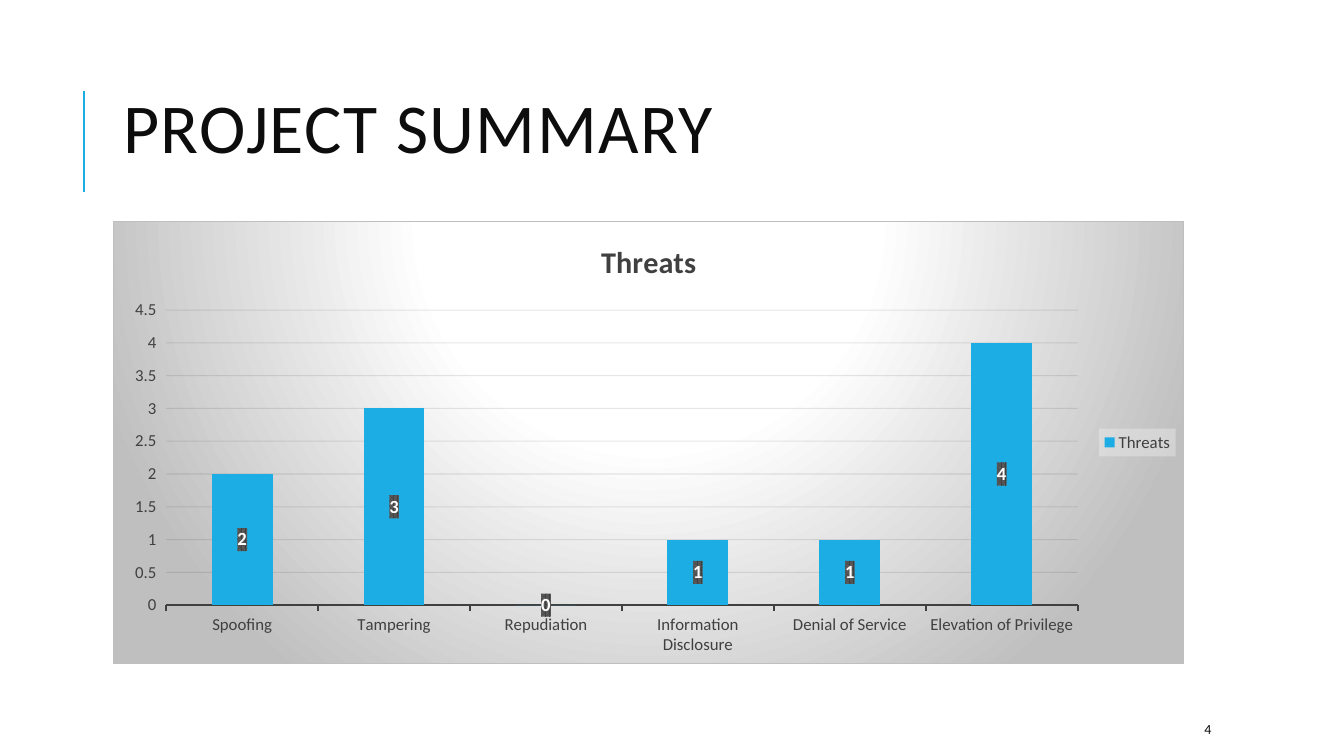
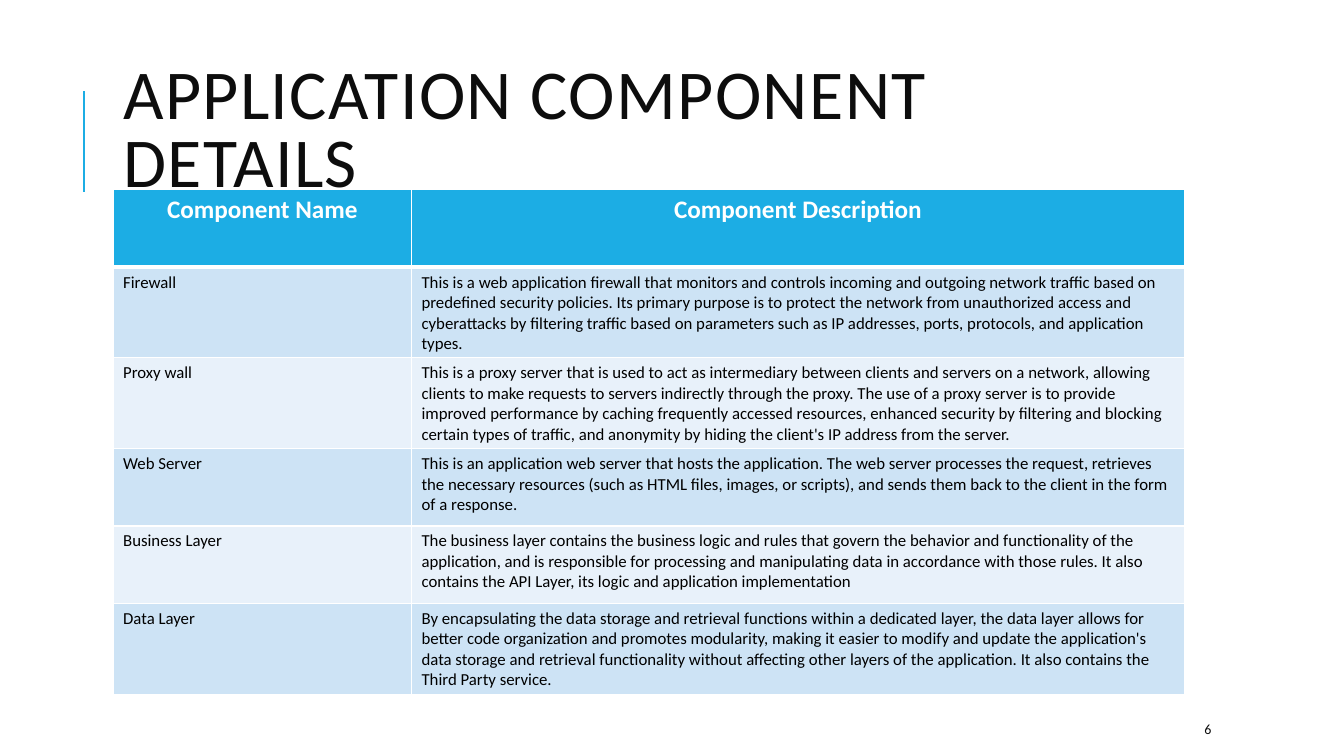
from lxml.etree import SubElement
from pptx import Presentation
from pptx.chart.data import CategoryChartData
from pptx.dml.color import RGBColor
from pptx.enum.chart import XL_CHART_TYPE as ChartType
from pptx.enum.chart import XL_LABEL_POSITION as LabelPos
from pptx.enum.chart import XL_LEGEND_POSITION as LegendPos
from pptx.enum.chart import XL_TICK_MARK as TickMark
from pptx.enum.shapes import MSO_CONNECTOR as Connector
from pptx.enum.text import MSO_ANCHOR as Anchor
from pptx.enum.text import MSO_AUTO_SIZE as AutoSize
from pptx.enum.text import PP_ALIGN as Align
from pptx.oxml import parse_xml
from pptx.oxml.ns import nsdecls, qn
from pptx.util import Cm, Pt

FONT = "Calibri"
ACCENT, INK, GRAY, EDGE = "1CADE4", "0D0D0D", "404040", "BFBFBF"
WHITE, BLACK = "FFFFFF", "000000"
BANDS = ("CDE3F5", "E8F1FA")
LEFT, WIDTH = Cm(2.85), Cm(27)

THREATS = {
    "Spoofing": 2,
    "Tampering": 3,
    "Repudiation": 0,
    "Information Disclosure": 1,
    "Denial of Service": 1,
    "Elevation of Privilege": 4,
}

COMPONENTS = [
    ("Component Name", "Component Description"),
    ("Firewall",
     "This is a web application firewall that monitors and controls incoming and outgoing "
     "network traffic based on predefined security policies. Its primary purpose is to protect "
     "the network from unauthorized access and cyberattacks by filtering traffic based on "
     "parameters such as IP addresses, ports, protocols, and application types."),
    ("Proxy wall",
     "This is a proxy server that is used to act as intermediary between clients and servers on "
     "a network, allowing clients to make requests to servers indirectly through the proxy. The "
     "use of a proxy server is to provide improved performance by caching frequently accessed "
     "resources, enhanced security by filtering and blocking certain types of traffic, and "
     "anonymity by hiding the client's IP address from the server."),
    ("Web Server",
     "This is an application web server that hosts the application. The web server processes "
     "the request, retrieves the necessary resources (such as HTML files, images, or scripts), "
     "and sends them back to the client in the form of a response."),
    ("Business Layer",
     "The business layer contains the business logic and rules that govern the behavior and "
     "functionality of the application, and is responsible for processing and manipulating data "
     "in accordance with those rules. It also contains the API Layer, its logic and application "
     "implementation"),
    ("Data Layer",
     "By encapsulating the data storage and retrieval functions within a dedicated layer, the "
     "data layer allows for better code organization and promotes modularity, making it easier "
     "to modify and update the application's data storage and retrieval functionality without "
     "affecting other layers of the application. It also contains the Third Party service."),
]


def rgb(color):
    return RGBColor.from_string(color)


def style_font(font, size, color, bold=False):
    font.name, font.size, font.bold = FONT, Pt(size), bold
    font.color.rgb = rgb(color)


def style_line(line, color, width):
    line.color.rgb = rgb(color)
    line.width = Pt(width)


def solid(color, alpha=100):
    return (f'<a:solidFill><a:srgbClr val="{color}"><a:alpha val="{alpha * 1000}"/>'
            "</a:srgbClr></a:solidFill>")


def fill_chart_part(element, fill_xml):
    """Give a chart part with text a background; the schema wants it before the text style."""
    element.find(qn("c:txPr")).addprevious(
        parse_xml(f'<c:spPr {nsdecls("c", "a")}>{fill_xml}</c:spPr>'))


def add_accent_line(s):
    line = s.shapes.add_connector(Connector.STRAIGHT, Cm(2.11), Cm(4.83), Cm(2.11), Cm(2.29))
    style_line(line.line, ACCENT, 1.5)
    SubElement(line._element.spPr, qn("a:effectLst"))


def set_title(s, text):
    title = s.shapes.title
    title.left, title.top, title.width, title.height = LEFT, Cm(1.57), WIDTH, Cm(3.58)
    tf = title.text_frame
    tf.text = text
    tf.auto_size, tf.vertical_anchor, tf.word_wrap = AutoSize.NONE, Anchor.MIDDLE, True
    p = tf.paragraphs[0]
    p.alignment, p.line_spacing = Align.LEFT, 0.8
    r = p.runs[0]
    style_font(r.font, 50, INK)
    r.font._element.set("spc", "100")


def add_page_number(s, number):
    tf = s.shapes.add_textbox(Cm(30.1), Cm(17.98), Cm(2.69), Cm(0.76)).text_frame
    tf.text = str(number)
    tf.word_wrap, tf.vertical_anchor = True, Anchor.MIDDLE
    style_font(tf.paragraphs[0].runs[0].font, 10, INK)


def add_slide(prs, title, number):
    s = prs.slides.add_slide(prs.slide_layouts[5])
    add_accent_line(s)
    set_title(s, title)
    add_page_number(s, number)
    return s


def style_axes(chart):
    cat_axis, val_axis = chart.category_axis, chart.value_axis
    for axis in (cat_axis, val_axis):
        style_font(axis.tick_labels.font, 12, GRAY)
        axis.major_tick_mark = TickMark.OUTSIDE
    style_line(cat_axis.format.line, GRAY, 1.5)
    val_axis.format.line.fill.background()
    val_axis.minimum_scale, val_axis.maximum_scale, val_axis.major_unit = 0, 4.5, 0.5
    grid = val_axis.major_gridlines
    style_line(grid.format.line, INK, 0.75)
    grid_color = next(val_axis._element.find(qn("c:majorGridlines")).iter(qn("a:srgbClr")))
    SubElement(grid_color, qn("a:alpha"), val="10000")


def style_labels(plot):
    plot.has_data_labels = True
    labels = plot.data_labels
    labels.show_value, labels.position = True, LabelPos.CENTER
    style_font(labels.font, 13.3, WHITE, bold=True)
    fill_chart_part(labels._element,
                    f'<a:pattFill prst="pct75"><a:fgClr><a:srgbClr val="{GRAY}"/></a:fgClr>'
                    '<a:bgClr><a:srgbClr val="595959"/></a:bgClr></a:pattFill>')


def style_legend(chart):
    chart.has_legend = True
    legend = chart.legend
    legend.position, legend.include_in_layout = LegendPos.RIGHT, False
    style_font(legend.font, 12, GRAY)
    fill_chart_part(legend._element, solid("F2F2F2", 39))


def add_column_chart(s, name, values):
    data = CategoryChartData()
    data.categories = list(values)
    data.add_series(name, list(values.values()))
    chart = s.shapes.add_chart(ChartType.COLUMN_CLUSTERED, LEFT, Cm(5.56), WIDTH, Cm(11.18),
                               data).chart
    style_font(chart.font, 10, BLACK)
    chart.has_title = True
    tf = chart.chart_title.text_frame
    tf.text = name
    style_font(tf.paragraphs[0].runs[0].font, 21.6, GRAY, bold=True)

    plot = chart.plots[0]
    plot.gap_width, plot.vary_by_categories = 150, False
    fill = plot.series[0].format.fill
    fill.solid()
    fill.fore_color.rgb = rgb(ACCENT)
    style_axes(chart)
    style_labels(plot)
    style_legend(chart)

    stops = "".join(f'<a:gs pos="{pos * 1000}"><a:srgbClr val="{color}"/></a:gs>'
                    for pos, color in ((0, WHITE), (39, WHITE), (100, EDGE)))
    fill_chart_part(chart._chartSpace,
                    f'<a:gradFill><a:gsLst>{stops}</a:gsLst><a:path path="circle">'
                    '<a:fillToRect l="50000" t="-80000" r="50000" b="180000"/></a:path>'
                    f'</a:gradFill><a:ln w="{Pt(0.75)}">{solid(EDGE)}</a:ln>')


def set_borders(cell, top, bottom):
    """Draw white borders, one point wide at the sides."""
    tc_pr = cell._tc.get_or_add_tcPr()
    for i, (side, width) in enumerate(zip("LRTB", (1, 1, top, bottom))):
        tc_pr.insert(i, parse_xml(
            f'<a:ln{side} {nsdecls("a")} w="{Pt(width)}">{solid(WHITE)}</a:ln{side}>'))


def add_component_table(s, rows):
    row_height = Cm(1.95)
    table = s.shapes.add_table(len(rows), 2, LEFT, Cm(4.78), WIDTH, row_height * len(rows)).table
    for column, width in zip(table.columns, (7.52, 19.48)):
        column.width = Cm(width)
    for i, texts in enumerate(rows):
        header = i == 0
        table.rows[i].height = row_height
        for cell, text in zip(table.rows[i].cells, texts):
            cell.text = text
            p = cell.text_frame.paragraphs[0]
            p.alignment = Align.CENTER if header else Align.LEFT
            style_font(p.runs[0].font, 18 if header else 12, WHITE if header else BLACK, header)
            cell.fill.solid()
            cell.fill.fore_color.rgb = rgb(ACCENT if header else BANDS[(i - 1) % 2])
            set_borders(cell, top=3 if i == 1 else 1, bottom=3 if header else 1)


def main():
    prs = Presentation()
    prs.slide_width, prs.slide_height = Cm(33.87), Cm(19.05)
    add_column_chart(add_slide(prs, "PROJECT SUMMARY", 4), "Threats", THREATS)
    add_component_table(add_slide(prs, "APPLICATION COMPONENT DETAILS", 6), COMPONENTS)
    prs.save("out.pptx")


if __name__ == "__main__":
    main()
